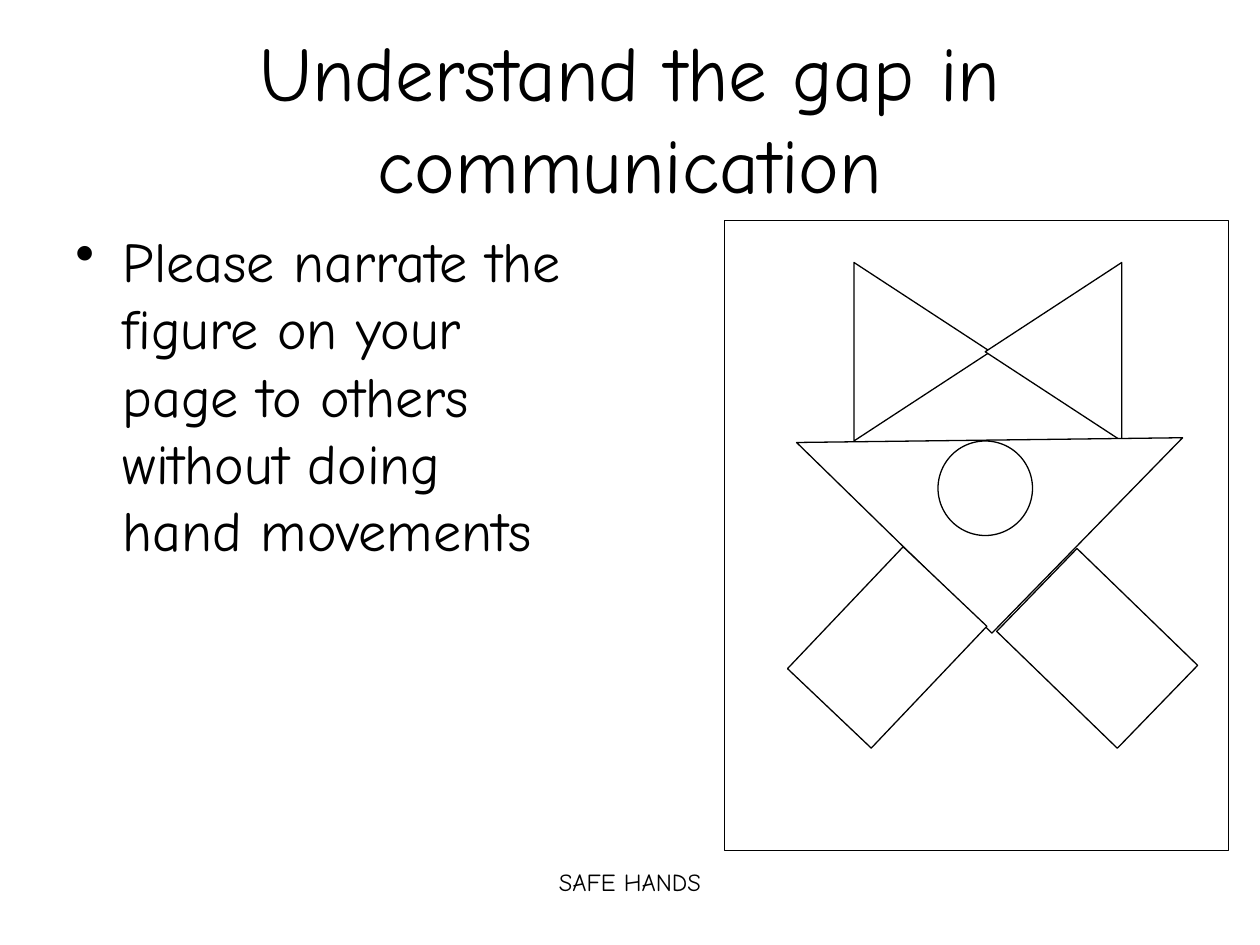
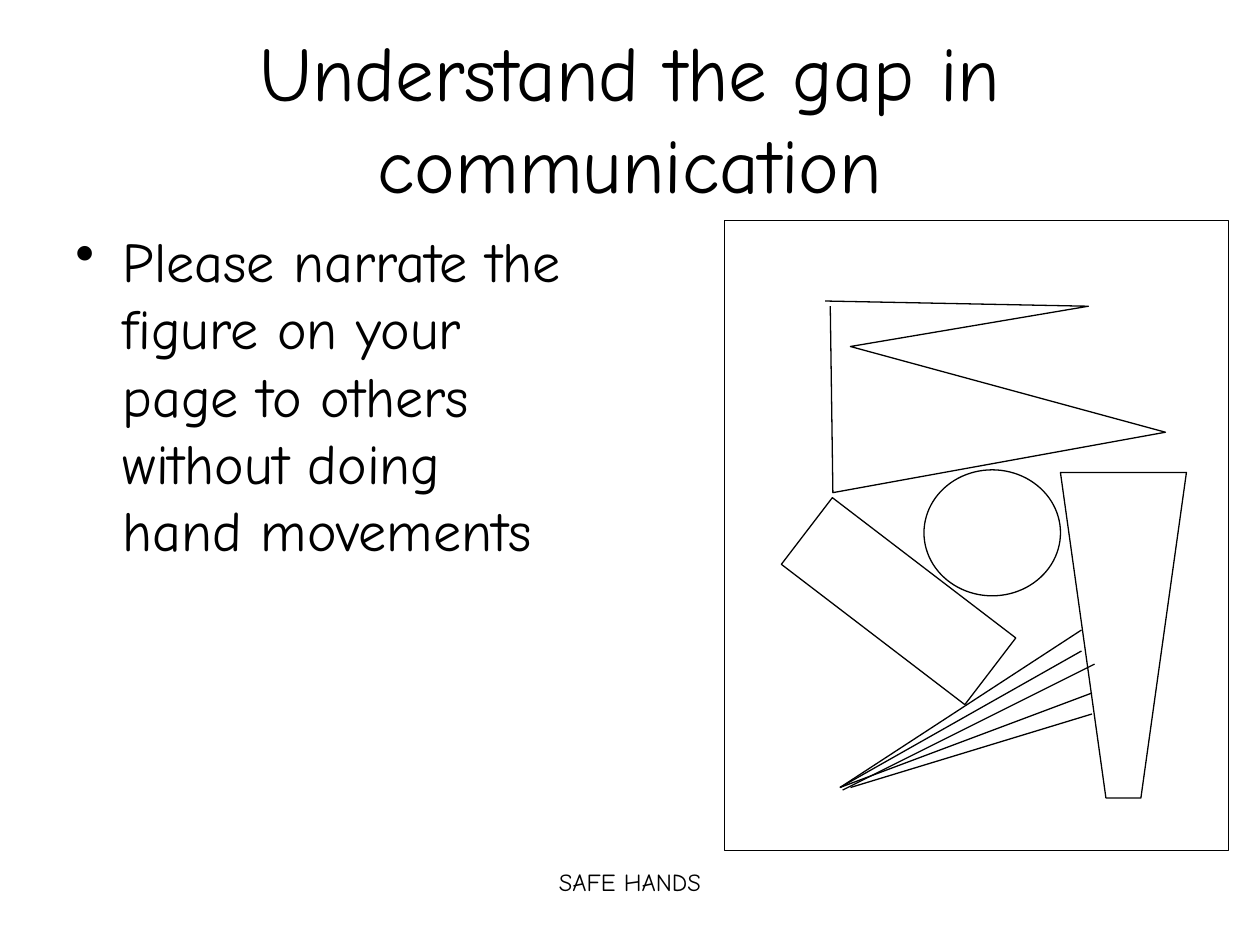
from dataclasses import dataclass
from lxml import etree
from pptx import Presentation
from pptx.dml.color import RGBColor
from pptx.enum.shapes import MSO_CONNECTOR, MSO_SHAPE
from pptx.enum.text import MSO_ANCHOR, PP_ALIGN
from pptx.oxml.ns import qn
from pptx.util import Pt

RECT, OVAL = MSO_SHAPE.RECTANGLE, MSO_SHAPE.OVAL
TRI, RIGHT = MSO_SHAPE.ISOSCELES_TRIANGLE, MSO_SHAPE.RIGHT_TRIANGLE
LINE = MSO_CONNECTOR.STRAIGHT
TOP, MID = MSO_ANCHOR.TOP, MSO_ANCHOR.MIDDLE
LEFT, CENTER = PP_ALIGN.LEFT, PP_ALIGN.CENTER


@dataclass
class Theme:
    ink = RGBColor(0, 0, 0)
    paper = RGBColor(255, 255, 255)
    font = "Comic Neue"
    title, body, foot = 44, 32, 14
    stroke = 0.75


def style(shape, filled):
    shape.shadow.inherit = False
    shape.line.color.rgb = Theme.ink
    shape.line.width = Pt(Theme.stroke)
    if filled:
        shape.fill.solid()
        shape.fill.fore_color.rgb = Theme.paper
    else:
        shape.fill.background()


def draw(group, kind, box, turn=0, filled=True):
    shape = group.shapes.add_shape(kind, *map(Pt, box))
    shape.rotation = turn
    style(shape, filled)


# Shared text: words, box, size, alignment, anchor, bullet
texts = [
    ("Understand the gap in communication",
     (36, 21.6, 648, 90), Theme.title, CENTER, MID, False),
    ("Please narrate the figure on your page to others "
     "without doing hand movements",
     (36, 126, 300, 356.4), Theme.body, LEFT, TOP, True),
    ("SAFE HANDS", (246, 492, 228, 37.2), Theme.foot, CENTER, TOP, False),
]

deck = Presentation()
deck.slide_width, deck.slide_height = Pt(720), Pt(540)
blank = deck.slide_layouts[6]
groups = []

for _ in range(2):
    slide = deck.slides.add_slide(blank)
    for words, box, size, align, anchor, dot in texts:
        frame = slide.shapes.add_textbox(*map(Pt, box)).text_frame
        frame.word_wrap = True
        frame.vertical_anchor = anchor
        frame.text = words
        para = frame.paragraphs[0]
        para.alignment = align
        font = para.runs[0].font
        font.name, font.size = Theme.font, Pt(size)
        font.color.rgb = Theme.ink
        if dot:
            para.space_before = Pt(0.2 * size)
            props = para._p.get_or_add_pPr()
            props.set("marL", str(Pt(27)))
            props.set("indent", str(Pt(-27)))
            etree.SubElement(props, qn("a:buChar")).set("char", "\u2022")

    # Frame around the figure
    draw(slide, RECT, (414, 126, 288, 360))
    groups.append(slide.shapes.add_group_shape())

# Slide 1: figure with bow, face and feet
bow, feet = groups[0], (66, 96)
draw(bow, TRI, (476, 162, 102, 78), 90)
draw(bow, TRI, (551, 162, 102, 78), 270)
draw(bow, RIGHT, (487.5, 173.5, 156, 156), 314.3)
draw(bow, RECT, (474, 322, *feet), 43.5)
draw(bow, RECT, (594, 322.5, *feet), 314.1)
draw(bow, OVAL, (536, 252, 54, 54))

# Slide 2: zigzag, ball, bar, cup and rays
zigzag = [(474.5, 175), (476, 281.5), (666, 247),
          (486, 198), (622, 175), (471.5, 172)]
cup = [(606, 270), (632, 456), (652, 456), (678, 270)]
rays = [((486, 450), (624, 408)), ((480, 450), (618, 360)),
        ((480, 450), (618, 372)), ((481.5, 451.5), (625.5, 379.5)),
        ((480, 450), (624, 396))]

mix = groups[1]
draw(mix, OVAL, (528, 268.5, 78, 72), filled=False)
draw(mix, RECT, (489.5, 277.5, 48, 132), 307.4, filled=False)
for points, closed in ((zigzag, False), (cup, True)):
    spots = [(Pt(x), Pt(y)) for x, y in points]
    path = mix.shapes.build_freeform(*spots[0])
    path.add_line_segments(spots[1:], close=closed)
    style(path.convert_to_shape(), False)
for start, end in rays:
    ray = mix.shapes.add_connector(LINE, *map(Pt, start + end))
    ray.line.color.rgb = Theme.ink
    ray.line.width = Pt(Theme.stroke)
    etree.SubElement(ray._element.spPr, qn("a:effectLst"))

deck.save("out.pptx")
